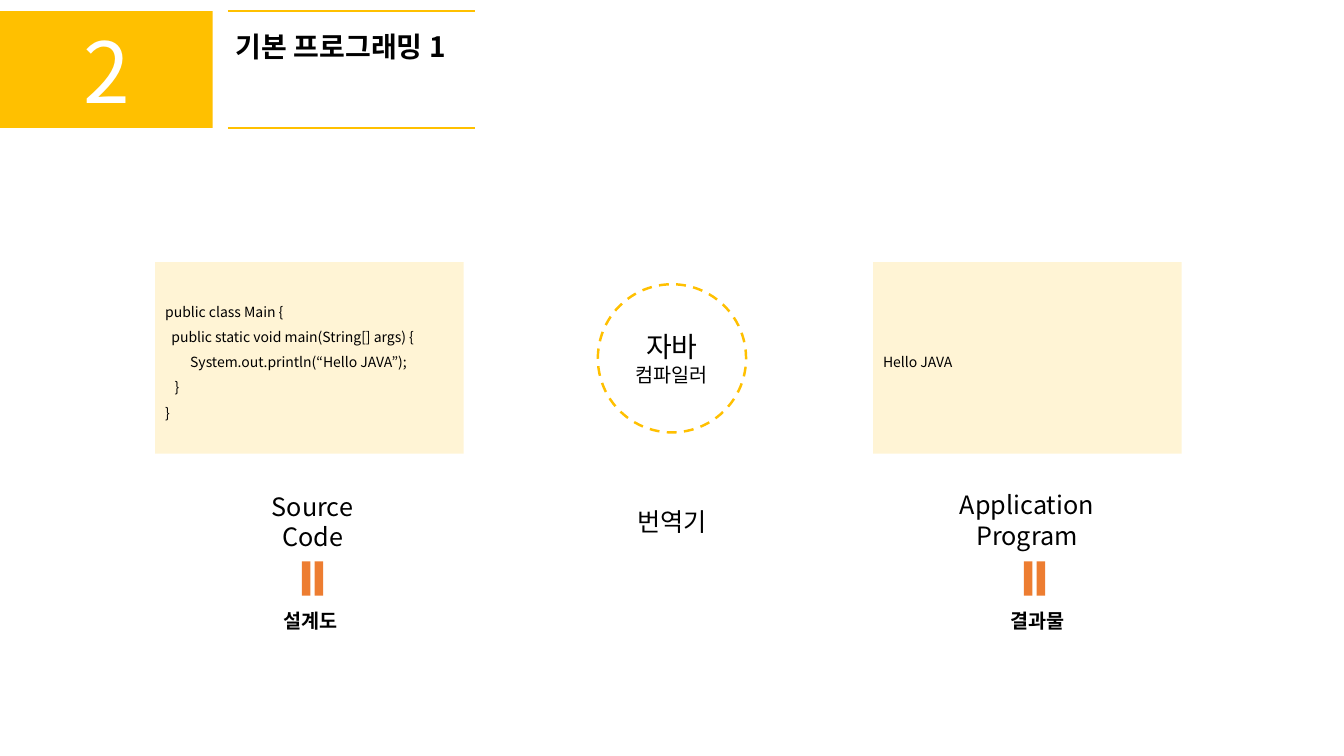
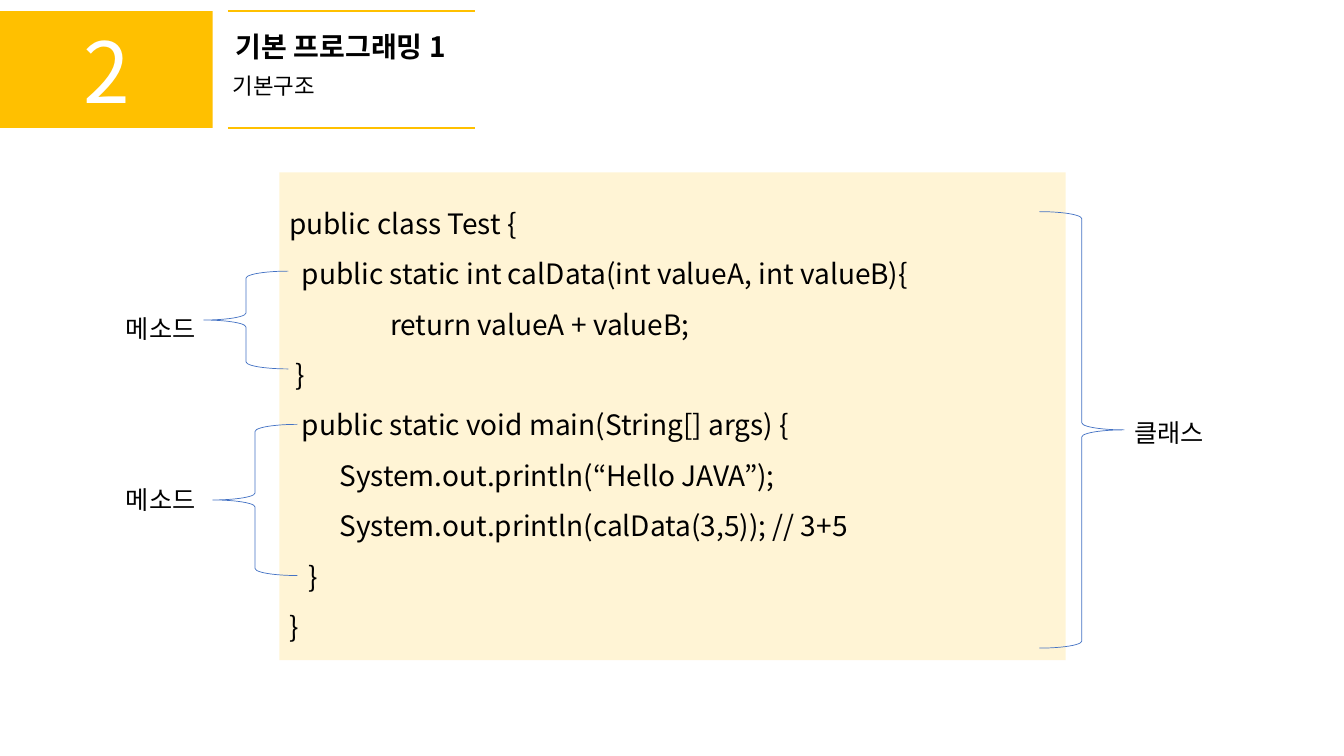
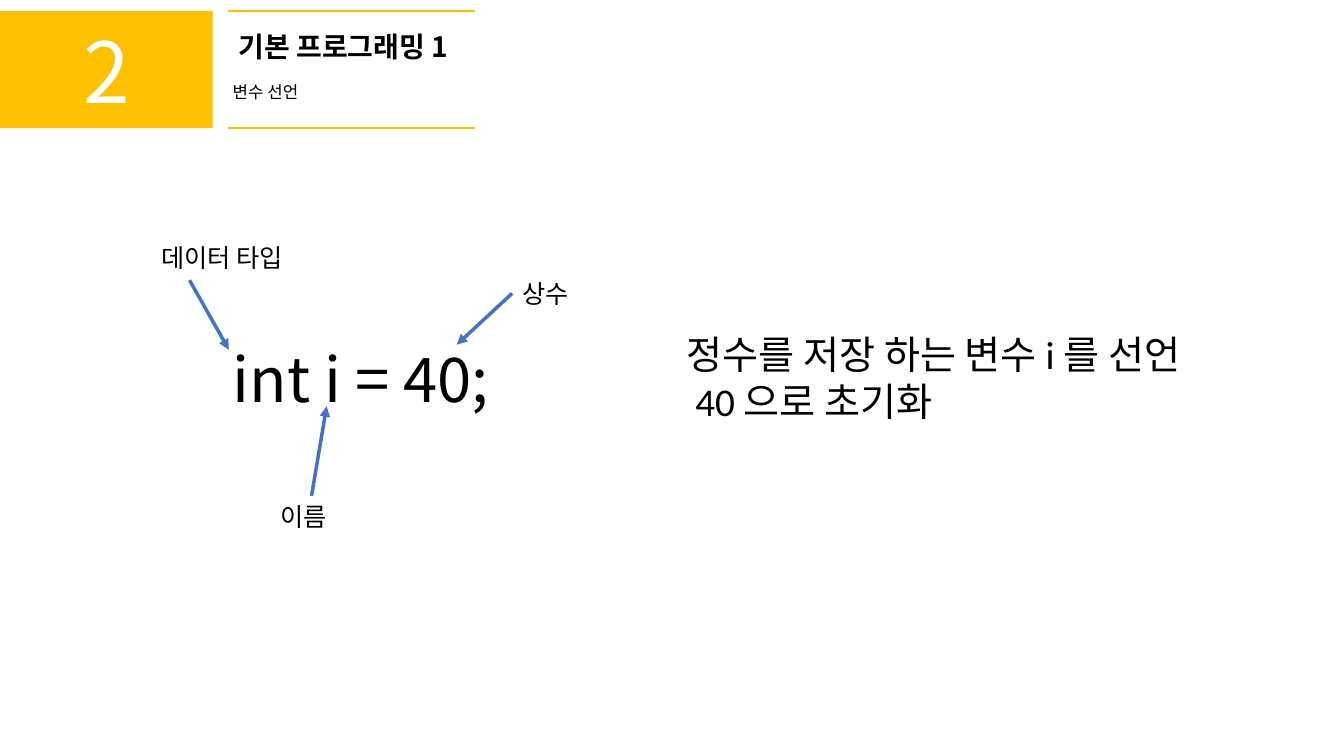
"""Builds three slides on the basics of programming in Java."""
from lxml import etree
from pptx import Presentation
from pptx import util as u
from pptx.dml.color import RGBColor
from pptx.enum import dml, shapes, text
from pptx.oxml.ns import qn

PX = 9144
COLORS = {"gold": "FFC000", "cream": "FFE699", "orange": "ED7D31",
          "blue": "4472C4", "black": "000000", "white": "FFFFFF"}
NOTO, CALIBRI = "Noto Sans CJK KR", "Calibri"
CENTER, LEFT = text.PP_ALIGN.CENTER, text.PP_ALIGN.LEFT
SHAPE = shapes.MSO_SHAPE

CHAPTER, TITLE = "2", "기본 프로그래밍 1"
HEADERS = [
    {"title_box": (216, 24, 244, 44)},
    {"title_box": (216, 24, 244, 44), "sub": ("기본구조", (221, 67, 250, 37), 16)},
    {"title_box": (221, 24, 239, 44), "sub": ("변수 선언", (221, 76, 244, 30), 12)},
]
RULE_YS = (11, 127)

MAIN_CODE = [
    "public class Main {",
    "  public static void main(String[] args) {",
    "        System.out.println(“Hello JAVA”);",
    "   }",
    "}",
]
STAGES = [
    {"x": 154, "code": MAIN_CODE, "name": ["Source", "Code"],
     "name_box": (257, 482, 106, 71), "equal_x": 287, "role": "설계도", "role_x": 271},
    {"x": 866, "code": ["Hello JAVA"], "name": ["Application", "Program"],
     "name_box": (942, 481, 153, 71), "equal_x": 1003, "role": "결과물", "role_x": 992},
]

TEST_CODE = [
    "public class Test {",
    "  public static int calData(int valueA, int valueB){",
    "\treturn valueA + valueB;",
    " }",
    "  public static void main(String[] args) {",
    "        System.out.println(“Hello JAVA”);",
    "        System.out.println(calData(3,5)); // 3+5",
    "   }",
    "}",
]
BRACES = [
    ("메소드", (115, 476, 96, 40), (211, 421, 84, 150), 180),
    ("메소드", (115, 306, 96, 40), (202, 269, 84, 97), 180),
    ("클래스", (1115, 409, 96, 40), (1031, 210, 84, 433), 0),
]

STATEMENT = "int i = 40;"
MEANING = ["정수를 저장 하는 변수 i 를 선언", " 40 으로 초기화"]
POINTERS = [
    ("데이터 타입", (150, 236, 152, 40), (188, 278), (227, 347), None),
    ("이름", (268, 492, 71, 40), (309, 492), (324, 403), None),
    ("상수", (508, 271, 71, 40), (508, 291), (453, 342), 1),
]


def rgb(name):
    return RGBColor.from_string(COLORS[name])


def emu(box):
    return [v * PX for v in box]


def write(tf, lines, size, font=NOTO, color="black", bold=False, align=LEFT, spacing=None):
    sizes = size if isinstance(size, (list, tuple)) else [size] * len(lines)
    for i, (line, pt) in enumerate(zip(lines, sizes)):
        p = tf.paragraphs[0] if i == 0 else tf.add_paragraph()
        p.text = line
        if "\t" in line:
            tabs = etree.SubElement(p._p.get_or_add_pPr(), qn("a:tabLst"))
            etree.SubElement(tabs, qn("a:tab"), pos=str(100 * PX), algn="l")
        p.alignment = align
        if spacing:
            p.line_spacing = spacing
        f = p.font
        f.size, f.bold, f.name = u.Pt(pt), bold, font
        f.color.rgb = rgb(color)
        etree.SubElement(f._element, qn("a:ea"), typeface=NOTO)


def add_text(s, lines, box, size, wrap=False, **style):
    sp = s.shapes.add_textbox(*emu(box))
    tf = sp.text_frame
    tf.word_wrap = wrap
    tf.auto_size = text.MSO_AUTO_SIZE.SHAPE_TO_FIT_TEXT
    write(tf, lines, size, **style)
    return sp


def add_shape(s, kind, box, fill=None, line=None, width=1.75, rotation=0):
    sp = s.shapes.add_shape(kind, *emu(box))
    sp.shadow.inherit = False
    sp.rotation = rotation
    if fill:
        sp.fill.solid()
        sp.fill.fore_color.rgb = rgb(fill)
    else:
        sp.fill.background()
    if line:
        sp.line.color.rgb = rgb(line)
        sp.line.width = u.Pt(width)
    else:
        sp.line.fill.background()
    sp.text_frame.vertical_anchor = text.MSO_ANCHOR.MIDDLE
    return sp


def add_line(s, start, end, color, width, arrow=False):
    cx = s.shapes.add_connector(shapes.MSO_CONNECTOR.STRAIGHT, *emu(start + end))
    cx.line.color.rgb = rgb(color)
    cx.line.width = u.Pt(width)
    if arrow:
        etree.SubElement(cx.line._get_or_add_ln(), qn("a:tailEnd"), type="triangle")
    etree.SubElement(cx._element.spPr, qn("a:effectLst"))
    return cx


def add_code(s, lines, box, size):
    sp = add_shape(s, SHAPE.RECTANGLE, box, "cream")
    color = sp.fill._xPr.find(qn("a:solidFill"))[0]
    etree.SubElement(color, qn("a:alpha"), val="41000")
    write(sp.text_frame, lines, size, spacing=1.5)


def add_slide(prs, header):
    s = prs.slides.add_slide(prs.slide_layouts[5])
    title = s.shapes.title
    title.left, title.top, title.width, title.height = emu(header["title_box"])
    tf = title.text_frame
    tf.word_wrap = True
    tf.auto_size = text.MSO_AUTO_SIZE.NONE
    tf.vertical_anchor = text.MSO_ANCHOR.TOP
    write(tf, [TITLE], 20, bold=True, align=CENTER)
    badge = add_shape(s, SHAPE.RECTANGLE, (0, 11, 211, 116), "gold")
    write(badge.text_frame, [CHAPTER], 60, color="white", align=CENTER)
    for y in RULE_YS:
        add_line(s, (226, y), (471, y), "gold", 1.75)
    if "sub" in header:
        line, box, size = header["sub"]
        add_text(s, [line], box, size, wrap=True)
    return s


def build_compiler(s):
    circle = add_shape(s, SHAPE.OVAL, (593, 282, 147, 147), line="gold")
    circle.line.dash_style = dml.MSO_LINE.DASH
    write(circle.text_frame, ["자바", "컴파일러"], (20, 14), align=CENTER)
    add_text(s, ["번역기"], (621, 497, 91, 40), 18, align=CENTER)
    for stage in STAGES:
        add_code(s, stage["code"], (stage["x"], 260, 306, 190), 10)
        add_text(s, stage["name"], stage["name_box"], 18, align=CENTER)
        add_shape(s, SHAPE.MATH_EQUAL, (stage["equal_x"], 556, 46, 36), "orange", rotation=90)
        add_text(s, [stage["role"]], (stage["role_x"], 599, 75, 34), 14, bold=True)


def build_structure(s):
    add_code(s, TEST_CODE, (277, 171, 780, 484), 20)
    for label, label_box, brace_box, rotation in BRACES:
        add_shape(s, SHAPE.RIGHT_BRACE, brace_box, line="blue", width=0.5, rotation=rotation)
        add_text(s, [label], label_box, 18, font=CALIBRI)


def build_variable(s):
    add_text(s, [STATEMENT], (221, 333, 362, 84), 44, wrap=True)
    for label, box, start, end, site in POINTERS:
        sp = add_text(s, [label], box, 18, font=CALIBRI)
        cx = add_line(s, start, end, "blue", 2.5, arrow=True)
        if site is not None:
            cx.begin_connect(sp, site)
    add_text(s, MEANING, (671, 323, 581, 104), 28, wrap=True, font=CALIBRI)


def main():
    prs = Presentation()
    prs.slide_width, prs.slide_height = u.Inches(13.33), u.Inches(7.5)
    for header, build in zip(HEADERS, (build_compiler, build_structure, build_variable)):
        build(add_slide(prs, header))
    prs.save("out.pptx")


if __name__ == "__main__":
    main()
